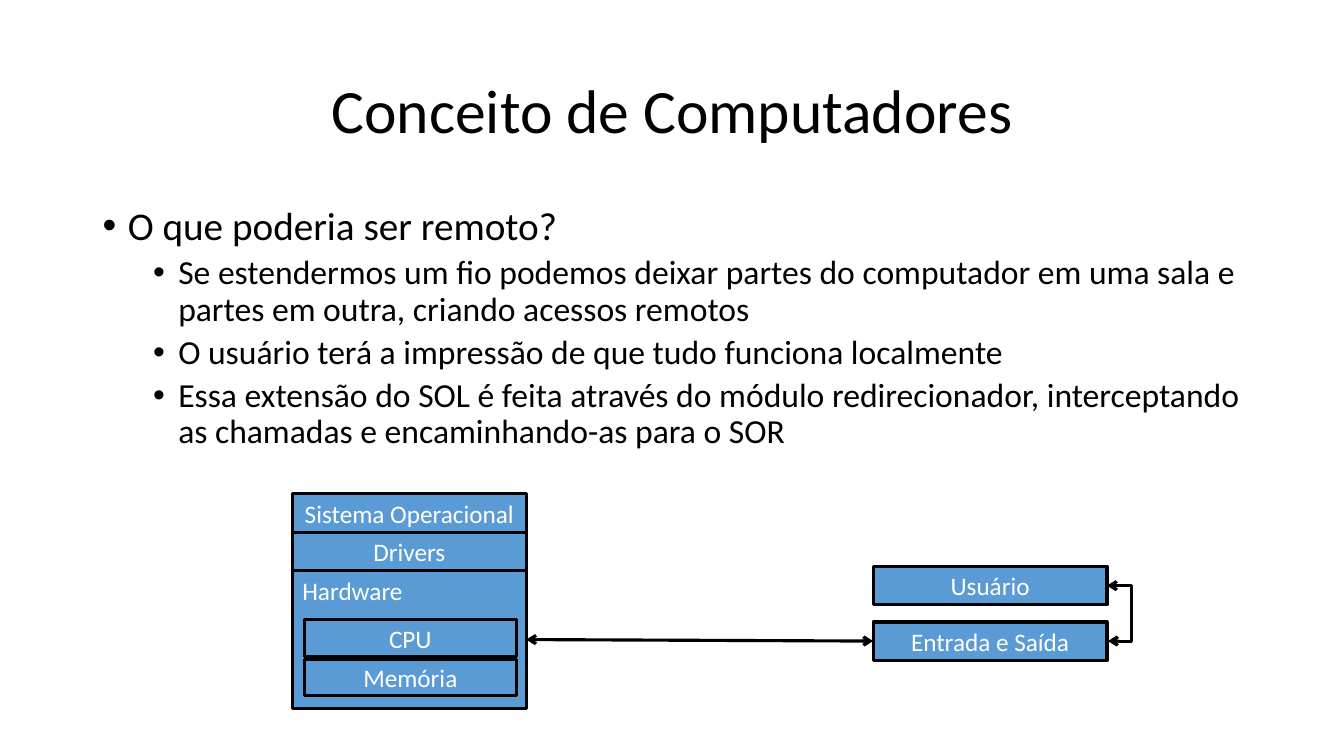
from dataclasses import dataclass

from lxml.etree import SubElement
from pptx import Presentation
from pptx.dml.color import RGBColor
from pptx.enum.shapes import MSO_CONNECTOR, MSO_SHAPE
from pptx.enum.text import MSO_ANCHOR, PP_ALIGN
from pptx.oxml.ns import qn
from pptx.shapes.autoshape import Shape
from pptx.shapes.connector import Connector
from pptx.slide import Slide
from pptx.util import Inches, Pt

COLORS = {"ink": "000000", "box": "5B9BD5", "label": "FFFFFF"}
FONT = "Calibri"
LEFT, RIGHT = 2.9, 8.66
WIDE, HIGH = 2.32, 0.38
STEM, TURN = 0.01, 0.25


@dataclass
class Box:
    text: str
    left: float
    top: float
    width: float = WIDE
    height: float = HIGH
    corner: bool = False


@dataclass
class Item:
    text: str
    size: int
    indent: float
    before: int
    level: int = 0


BOXES = [
    Box("Sistema Operacional", LEFT, 4.9),
    Box("Drivers", LEFT, 4.9 + HIGH),
    Box("Hardware", LEFT, 4.9 + 2 * HIGH, height=1.37, corner=True),
    Box("Usuário", RIGHT, 5.62),
    Box("Entrada e Saída", RIGHT, 6.17),
    Box("CPU", 3.02, 6.15, 2.1, 0.36),
    Box("Memória", 3.02, 6.54, 2.1, 0.36),
]

ITEMS = [Item("O que poderia ser remoto?", 28, 0.25, 0)] + [
    Item(text, 24, 0.75, 5, 1)
    for text in (
        "Se estendermos um fio podemos deixar partes do computador em uma sala "
        "e partes em outra, criando acessos remotos",
        "O usuário terá a impressão de que tudo funciona localmente",
        "Essa extensão do SOL é feita através do módulo redirecionador, "
        "interceptando as chamadas e encaminhando-as para o SOR",
    )
]


def color(name: str) -> RGBColor:
    return RGBColor.from_string(COLORS[name])


def style(para, size: int, tint: str) -> None:
    """Set the font of a whole paragraph."""
    para.font.name = FONT
    para.font.size = Pt(size)
    para.font.color.rgb = color(tint)


def add_title(slide: Slide, text: str) -> None:
    area = slide.shapes.add_textbox(Inches(0.92), Inches(0.4), Inches(11.5), Inches(1.45))
    frame = area.text_frame
    frame.word_wrap = True
    frame.vertical_anchor = MSO_ANCHOR.MIDDLE
    para = frame.paragraphs[0]
    para.text = text
    para.alignment = PP_ALIGN.CENTER
    para.line_spacing = 0.9
    style(para, 44, "ink")


def add_list(slide: Slide, items: list[Item]) -> None:
    area = slide.shapes.add_textbox(Inches(0.92), Inches(2), Inches(11.5), Inches(4.76))
    frame = area.text_frame
    frame.word_wrap = True
    for i, item in enumerate(items):
        para = frame.add_paragraph() if i else frame.paragraphs[0]
        para.text = item.text
        para.level = item.level
        para.line_spacing = 0.9
        para.space_before = Pt(item.before)
        props = para._p.get_or_add_pPr()
        props.set("marL", str(Inches(item.indent)))
        props.set("indent", str(-Inches(0.25)))
        SubElement(props, qn("a:buFont"), typeface="Arial")
        SubElement(props, qn("a:buChar"), char="•")
        style(para, item.size, "ink")


def add_box(slide: Slide, box: Box) -> Shape:
    shape = slide.shapes.add_shape(
        MSO_SHAPE.RECTANGLE,
        Inches(box.left), Inches(box.top), Inches(box.width), Inches(box.height),
    )
    shape.shadow.inherit = False
    shape.fill.solid()
    shape.fill.fore_color.rgb = color("box")
    shape.line.color.rgb = color("ink")
    shape.line.width = Pt(2.25)
    frame = shape.text_frame
    frame.word_wrap = True
    frame.vertical_anchor = MSO_ANCHOR.TOP if box.corner else MSO_ANCHOR.MIDDLE
    para = frame.paragraphs[0]
    para.text = box.text
    para.alignment = PP_ALIGN.LEFT if box.corner else PP_ALIGN.CENTER
    style(para, 18, "label")
    return shape


def add_arrow(slide: Slide, kind: MSO_CONNECTOR, *ends: int) -> Connector:
    """Add a connector with an arrowhead at both ends."""
    arrow = slide.shapes.add_connector(kind, *ends)
    arrow.line.color.rgb = color("ink")
    arrow.line.width = Pt(2.25)
    line = arrow.line._get_or_add_ln()
    for end in ("a:headEnd", "a:tailEnd"):
        SubElement(line, qn(end), type="arrow")
    SubElement(arrow._element.spPr, qn("a:effectLst"))
    return arrow


def main() -> None:
    deck = Presentation()
    deck.slide_width, deck.slide_height = Inches(13.33), Inches(7.5)
    slide = deck.slides.add_slide(deck.slide_layouts[6])
    add_title(slide, "Conceito de Computadores")
    add_list(slide, ITEMS)
    shapes = {box.text: add_box(slide, box) for box in BOXES}
    user, port = shapes["Usuário"], shapes["Entrada e Saída"]

    side = user.left + user.width
    loop = add_arrow(
        slide, MSO_CONNECTOR.ELBOW,
        side, user.top + user.height // 2,
        side + Inches(STEM), port.top + port.height // 2,
    )
    guides = loop._element.spPr.find(qn("a:prstGeom")).get_or_add_avLst()
    bend = round(TURN / STEM * 100000)
    SubElement(guides, qn("a:gd"), name="adj1", fmla=f"val {bend}")

    link = add_arrow(slide, MSO_CONNECTOR.STRAIGHT, 0, 0, 0, 0)
    link.begin_connect(port, 1)
    link.end_connect(shapes["Hardware"], 3)
    deck.save("out.pptx")


if __name__ == "__main__":
    main()
